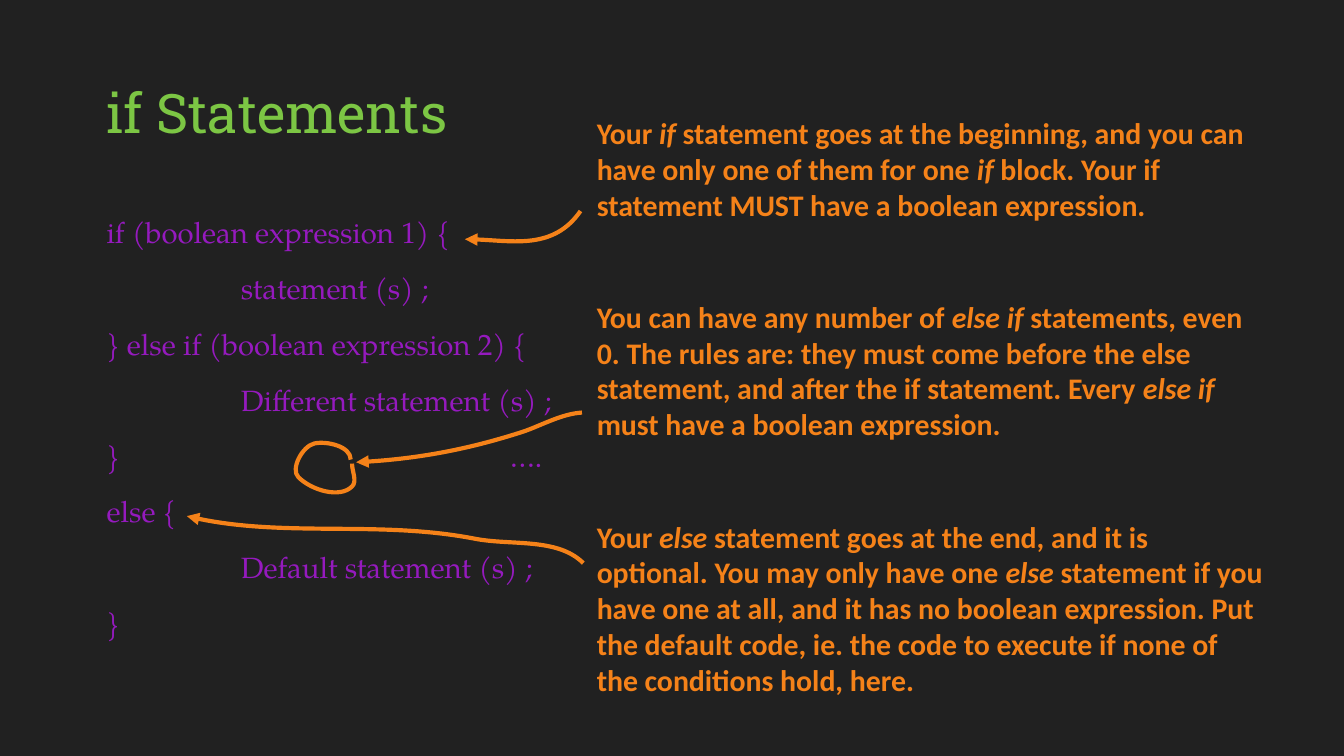
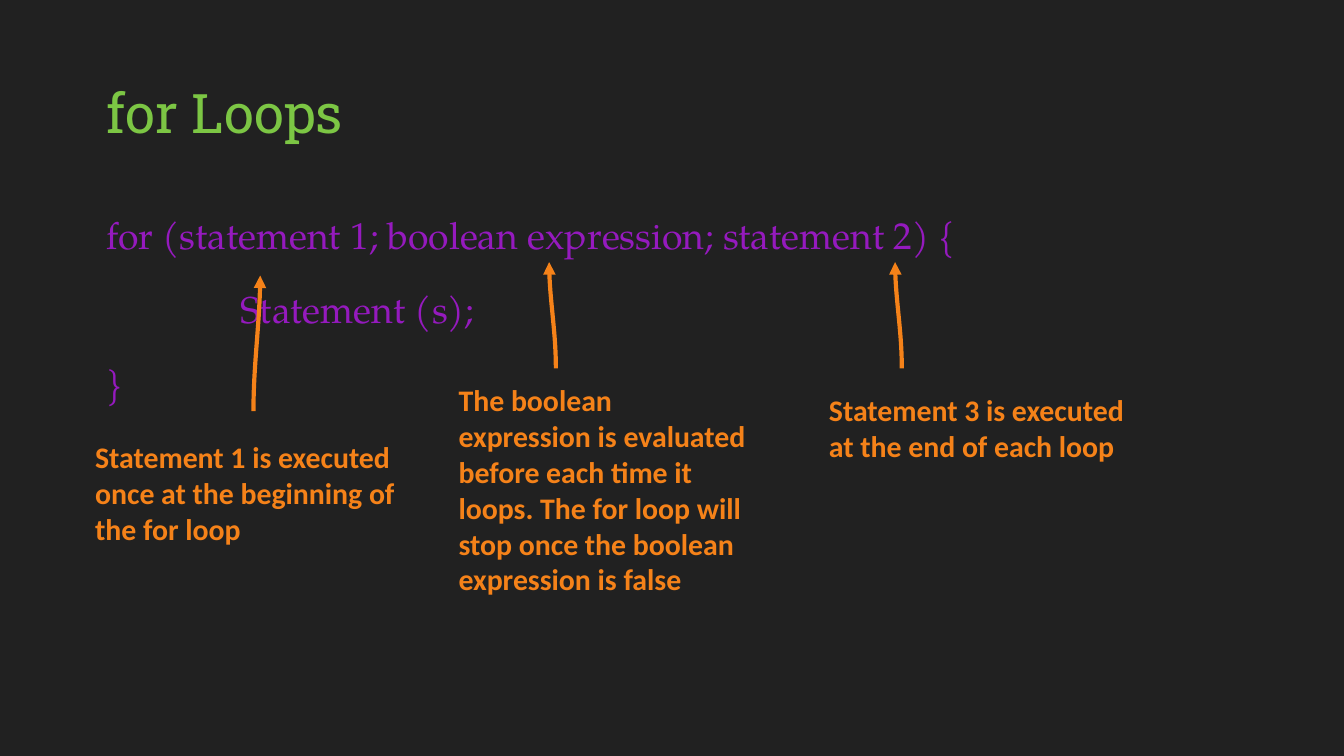
from dataclasses import dataclass

from pptx import Presentation
from pptx.dml.color import RGBColor
from pptx.enum.text import MSO_ANCHOR, MSO_AUTO_SIZE, PP_ALIGN
from pptx.oxml.ns import qn
from pptx.presentation import Presentation as Deck
from pptx.shapes.autoshape import Shape
from pptx.slide import Slide
from pptx.text.text import TextFrame, _Paragraph
from pptx.util import Inches, Pt
from lxml import etree

TOP = MSO_ANCHOR.TOP
FIXED = MSO_AUTO_SIZE.NONE
GROW = MSO_AUTO_SIZE.SHAPE_TO_FIT_TEXT
LEFT = PP_ALIGN.LEFT

WIDTH, HEIGHT = Inches(10), Inches(5.625)
COLUMN = WIDTH / 100
ROW = HEIGHT / 56.25
TAB = str(Inches(1))
CURVE_STEPS = 16

Point = tuple[float, float]


@dataclass(frozen=True)
class TextStyle:
    font: str
    size: float
    color: RGBColor
    bold: bool = False


@dataclass(frozen=True)
class Theme:
    background: RGBColor
    accent: RGBColor
    title: TextStyle
    code: TextStyle
    large_code: TextStyle
    note: TextStyle
    stroke: float
    code_gap: float
    inset: float


ORANGE = RGBColor.from_string("F58219")
PURPLE = RGBColor.from_string("951ABE")
THEME = Theme(
    background=RGBColor.from_string("212121"),
    accent=ORANGE,
    title=TextStyle("Roboto Slab", 29.2, RGBColor.from_string("7CC644")),
    code=TextStyle("TeX Gyre Pagella", 15.7, PURPLE),
    large_code=TextStyle("TeX Gyre Pagella", 20, PURPLE),
    note=TextStyle("Calibri", 16, ORANGE, True),
    stroke=2.25,
    code_gap=12,
    inset=1,
)


@dataclass(frozen=True)
class Area:
    left: float
    top: float
    width: float
    height: float

    def emu(self) -> tuple[int, int, int, int]:
        return (round(self.left * COLUMN), round(self.top * ROW),
                round(self.width * COLUMN), round(self.height * ROW))


@dataclass(frozen=True)
class Note:
    area: Area
    text: str


@dataclass(frozen=True)
class Curve:
    points: tuple[Point, ...]
    arrow: bool = True


@dataclass(frozen=True)
class Lesson:
    title: str
    code_area: Area
    code_style: TextStyle
    line_spacing: float
    code: tuple[str, ...]
    notes: tuple[Note, ...]
    curves: tuple[Curve, ...]


def upright(foot: Point, tip: Point) -> Curve:
    third = (foot[1] - tip[1]) / 3
    return Curve((foot, (foot[0], foot[1] - third), (tip[0], tip[1] + third), tip))


TITLE_AREA = Area(6.93, 4.87, 86.1, 6.3)

LESSONS = (
    Lesson(
        title="if Statements",
        code_area=Area(6.93, 15.15, 86.1, 34.8),
        code_style=THEME.code,
        line_spacing=0.95,
        code=(
            "if (boolean expression 1) {",
            "\tstatement (s) ;",
            "} else if (boolean expression 2) {",
            "\tDifferent statement (s) ;",
            "} \t\t\t….",
            "else {",
            "\tDefault statement (s) ;",
            "}",
        ),
        notes=(
            Note(Area(43.42, 21.2, 51.6, 15.5),
                 "You can have any number of *else if* statements, even 0. The rules are: they "
                 "must come before the else statement, and after the if statement. "
                 "Every *else if* must have a boolean expression."),
            Note(Area(43.42, 7.53, 51.6, 12.8),
                 "Your *if* statement goes at the beginning, and you can have only one of them "
                 "for one *if* block. Your if statement MUST have a boolean expression."),
            Note(Area(43.42, 37.56, 51.6, 15.5),
                 "Your *else* statement goes at the end, and it is optional. You may only have "
                 "one *else* statement if you have one at all, and it has no boolean expression. "
                 "Put the default code, ie. the code to execute if none of the conditions hold, "
                 "here."),
        ),
        curves=(
            Curve(((26.2, 34.5), (26.2, 35.1), (26.6, 35.8), (26.2, 36.2),
                   (25.3, 37.1), (23.2, 36.5), (22.2, 35.5),
                   (21.6, 34.9), (22.5, 33.2), (23.4, 33),
                   (24.3, 32.8), (26.1, 33.2), (26.1, 34.2)), arrow=False),
            Curve(((43.3, 30.7), (41.8, 30.8), (40.4, 31.6), (39, 32.1),
                   (35, 33.4), (30.8, 34.2), (26.5, 34.4))),
            Curve(((43.2, 15.7), (41.2, 18.6), (37.5, 17.8), (34.6, 17.8))),
            Curve(((43.4, 41.9), (41.5, 40), (38.1, 40.6), (35.4, 40.1),
                   (28.3, 38.7), (20.8, 40.1), (13.9, 38.4))),
        ),
    ),
    Lesson(
        title="for Loops",
        code_area=Area(6.93, 14.3, 68.3, 7.9),
        code_style=THEME.large_code,
        line_spacing=1.15,
        code=(
            "for (statement 1; boolean expression; statement 2) {",
            "\tStatement (s);",
            "}",
        ),
        notes=(
            Note(Area(6.1, 31.66, 26, 12.8),
                 "Statement 1 is executed once at the beginning of the for loop"),
            Note(Area(33.14, 27.42, 23.4, 23.6),
                 "The boolean expression is evaluated before each time it loops. The for loop "
                 "will stop once the boolean expression is false"),
            Note(Area(60.7, 28.14, 24.6, 10.1),
                 "Statement 3 is executed at the end of each loop"),
        ),
        curves=(
            upright((18.86, 30.6), (19.36, 20.5)),
            upright((41.36, 27.4), (40.86, 19.5)),
            upright((67.1, 27.4), (66.6, 19.5)),
        ),
    ),
)


def style_paragraph(paragraph: _Paragraph, style: TextStyle) -> None:
    paragraph.alignment = LEFT
    font = paragraph.font
    font.name = style.font
    font.size = Pt(style.size)
    font.bold = style.bold
    font.color.rgb = style.color


def prepare_frame(frame: TextFrame, auto_size: MSO_AUTO_SIZE) -> None:
    frame.word_wrap = True
    frame.auto_size = auto_size
    frame.vertical_anchor = TOP
    frame.margin_left = frame.margin_right = round(THEME.inset * COLUMN)
    frame.margin_top = frame.margin_bottom = round(THEME.inset * ROW)


def move(shape: Shape, area: Area) -> None:
    shape.left, shape.top, shape.width, shape.height = area.emu()


def set_code_indents(paragraph: _Paragraph) -> None:
    properties = paragraph._p.get_or_add_pPr()
    properties.set("marL", "0")
    properties.set("indent", "0")
    properties.set("defTabSz", TAB)
    etree.SubElement(properties, qn("a:buNone"))


def fill_title(slide: Slide, title: str) -> None:
    heading = slide.shapes.title
    move(heading, TITLE_AREA)
    prepare_frame(heading.text_frame, FIXED)
    heading.text_frame.text = title
    style_paragraph(heading.text_frame.paragraphs[0], THEME.title)


def fill_code(slide: Slide, lesson: Lesson) -> None:
    listing = slide.placeholders[1]
    move(listing, lesson.code_area)
    frame = listing.text_frame
    prepare_frame(frame, FIXED)
    frame.text = "\n".join(lesson.code)
    for number, paragraph in enumerate(frame.paragraphs):
        paragraph.line_spacing = lesson.line_spacing
        paragraph.space_before = Pt(THEME.code_gap if number else 0)
        set_code_indents(paragraph)
        style_paragraph(paragraph, lesson.code_style)
    frame.paragraphs[-1].space_after = Pt(THEME.code_gap)


def add_note(slide: Slide, note: Note) -> None:
    frame = slide.shapes.add_textbox(*note.area.emu()).text_frame
    prepare_frame(frame, GROW)
    paragraph = frame.paragraphs[0]
    style_paragraph(paragraph, THEME.note)
    for number, phrase in enumerate(note.text.split("*")):
        run = paragraph.add_run()
        run.text = phrase
        if number % 2:
            run.font.italic = True


def bezier(controls: tuple[Point, ...], t: float) -> Point:
    weights = ((1 - t) ** 3, 3 * t * (1 - t) ** 2, 3 * t ** 2 * (1 - t), t ** 3)
    return (sum(w * x for w, (x, _) in zip(weights, controls)) * COLUMN,
            sum(w * y for w, (_, y) in zip(weights, controls)) * ROW)


def smooth_outline(stroke: Shape, points: tuple[Point, ...]) -> None:
    outline = next(stroke._element.iter(qn("a:path")))
    for segment in outline.findall(qn("a:lnTo")):
        outline.remove(segment)
    for first in range(1, len(points), 3):
        segment = etree.SubElement(outline, qn("a:cubicBezTo"))
        for x, y in points[first:first + 3]:
            etree.SubElement(segment, qn("a:pt"), x=str(round(x * COLUMN) - stroke.left),
                             y=str(round(y * ROW) - stroke.top))


def add_curve(slide: Slide, curve: Curve) -> None:
    points = curve.points
    trace = [bezier(points[first:first + 4], step / CURVE_STEPS)
             for first in range(0, len(points) - 1, 3)
             for step in range(1, CURVE_STEPS + 1)]
    start_x, start_y = points[0]
    builder = slide.shapes.build_freeform(round(start_x * COLUMN), round(start_y * ROW))
    builder.add_line_segments(trace, close=False)
    stroke = builder.convert_to_shape()
    smooth_outline(stroke, points)
    stroke.shadow.inherit = False
    stroke.fill.background()
    stroke.line.color.rgb = THEME.accent
    stroke.line.width = Pt(THEME.stroke)
    if curve.arrow:
        etree.SubElement(stroke.line._get_or_add_ln(), qn("a:tailEnd"), type="triangle")


def add_lesson(deck: Deck, lesson: Lesson) -> None:
    slide = deck.slides.add_slide(deck.slide_layouts[1])
    fill_title(slide, lesson.title)
    fill_code(slide, lesson)
    for curve in lesson.curves:
        add_curve(slide, curve)
    for note in lesson.notes:
        add_note(slide, note)


def prepare_master(deck: Deck) -> None:
    backdrop = deck.slide_master.background.fill
    backdrop.solid()
    backdrop.fore_color.rgb = THEME.background
    body_style = next(deck.slide_master._element.iter(qn("p:bodyStyle")))
    for level in body_style:
        level.set("defTabSz", TAB)


def main() -> None:
    deck = Presentation()
    deck.slide_width, deck.slide_height = WIDTH, HEIGHT
    prepare_master(deck)
    for lesson in LESSONS:
        add_lesson(deck, lesson)
    deck.save("out.pptx")


if __name__ == "__main__":
    main()
